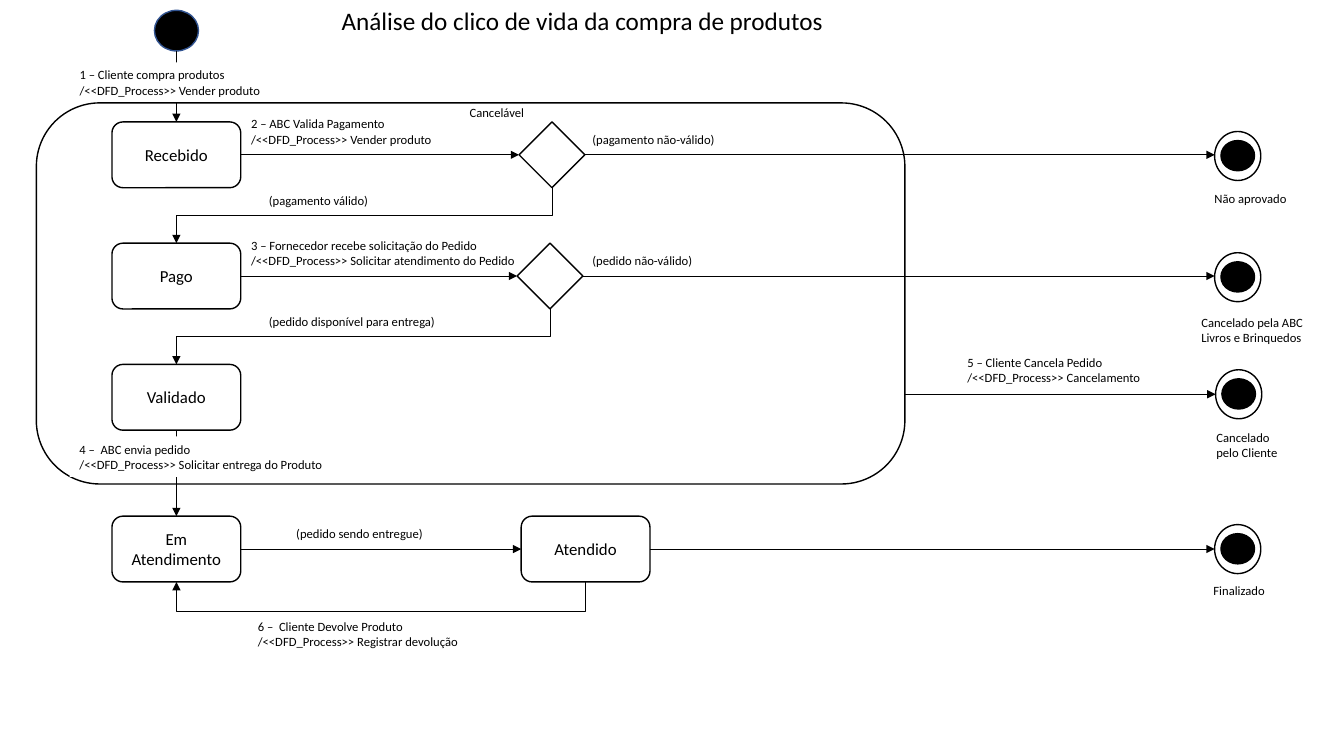
from lxml.etree import SubElement
from pptx import Presentation
from pptx.dml.color import RGBColor
from pptx.enum.shapes import MSO_CONNECTOR, MSO_SHAPE
from pptx.enum.text import MSO_ANCHOR, PP_ALIGN
from pptx.oxml.ns import qn
from pptx.util import Pt

BLACK = RGBColor(0x00, 0x00, 0x00)
WHITE = RGBColor(0xFF, 0xFF, 0xFF)
NAVY = RGBColor(0x32, 0x54, 0x91)
TOP, LEFT, BOTTOM, RIGHT = range(4)
STATE_WIDTH, STATE_HEIGHT = 92, 47
END_WIDTH, END_HEIGHT = 33, 35
END_LEFT = 867.6


def write(frame, text, size=9, align=PP_ALIGN.LEFT, anchor=MSO_ANCHOR.TOP):
    """Fill a text frame, one paragraph for each line of text."""
    frame.word_wrap = True
    frame.vertical_anchor = anchor
    frame.text = text
    for paragraph in frame.paragraphs:
        paragraph.alignment = align
        for run in paragraph.runs:
            run.font.name = "Calibri"
            run.font.size = Pt(size)
            run.font.color.rgb = BLACK


def node(slide, kind, box, fill=WHITE, line=BLACK):
    """Draw a flat preset shape; None leaves out its fill or line."""
    shape = slide.shapes.add_shape(kind, *map(Pt, box))
    shape.shadow.inherit = False
    if fill is None:
        shape.fill.background()
    else:
        shape.fill.solid()
        shape.fill.fore_color.rgb = fill
    if line is None:
        shape.line.fill.background()
    else:
        shape.line.color.rgb = line
        shape.line.width = Pt(1)
    return shape


def label(slide, box, text, covers=False, **style):
    """Place a label, on a white ground if it covers a line."""
    if covers:
        holder = node(slide, MSO_SHAPE.RECTANGLE, box, line=None)
    else:
        holder = slide.shapes.add_textbox(*map(Pt, box))
    write(holder.text_frame, text, **style)


def state(slide, left, top, name):
    """Draw a rounded state with its name centred."""
    shape = node(slide, MSO_SHAPE.ROUNDED_RECTANGLE, (left, top, STATE_WIDTH, STATE_HEIGHT))
    write(shape.text_frame, name, size=12, align=PP_ALIGN.CENTER, anchor=MSO_ANCHOR.MIDDLE)
    return shape


def arrow(slide, start, end, begin=None, finish=None, kind=MSO_CONNECTOR.STRAIGHT):
    """Draw a thin arrow, joined to the (shape, site) pairs given."""
    connector = slide.shapes.add_connector(kind, *map(Pt, (*start, *end)))
    if begin:
        connector.begin_connect(*begin)
    if finish:
        connector.end_connect(*finish)
    connector.line.color.rgb = BLACK
    connector.line.width = Pt(0.5)
    properties = connector._element.spPr
    SubElement(properties.find(qn("a:ln")), qn("a:tailEnd"), type="triangle")
    SubElement(properties, qn("a:effectLst"))
    return connector


def bent_arrow(slide, start, end, drop):
    """Draw an arrow that goes down by drop, then left, then to its end."""
    (x1, y1), (x2, y2) = start, end
    across, down = x1 - x2, max(y2 - y1, 0.1)
    left, top = (x1 + x2 - down) / 2, (y1 + y2 - across) / 2
    connector = arrow(slide, (left, top), (left + down, top + across), kind=MSO_CONNECTOR.ELBOW)
    properties = connector._element.spPr
    properties.find(qn("a:xfrm")).set("rot", "5400000")
    guides = properties.find(qn("a:prstGeom")).find(qn("a:avLst"))
    SubElement(guides, qn("a:gd"), name="adj1", fmla=f"val {round(drop / down * 100000)}")


def end_state(slide, left, top, caption, caption_box):
    """Draw a final state and its caption, placed relative to the state."""
    node(slide, MSO_SHAPE.OVAL, (left, top, END_WIDTH, END_HEIGHT))
    node(slide, MSO_SHAPE.OVAL, (left + 4.5, top + 6.5, 24, 21.6), fill=BLACK)
    dx, dy, width, height = caption_box
    label(slide, (left + dx, top + dy, width, height), caption)


def entry(slide, left, top, first_state):
    """Draw the initial state and the arrow into the first state."""
    node(slide, MSO_SHAPE.OVAL, (left, top, 31.5, 29), fill=BLACK, line=NAVY)
    arrow(slide, (left + 15.75, top + 29), (left + 15.75, top + 80), finish=(first_state, TOP))
    label(slide, (left - 60.5, top + 37.2, 204, 28.8),
          "1 – Cliente compra produtos\n/<<DFD_Process>> Vender produto", covers=True)


def decision_row(slide, origin, diamond_left, step, refused, accepted, next_top, ending, ending_box):
    """Draw the check that leads from a state to the next one or to an end."""
    left, top = origin.left.pt, origin.top.pt
    middle = top + STATE_HEIGHT / 2
    diamond = node(slide, MSO_SHAPE.DIAMOND, (diamond_left, top, STATE_HEIGHT, STATE_HEIGHT))
    arrow(slide, (left + STATE_WIDTH, middle), (diamond_left, middle),
          begin=(origin, RIGHT), finish=(diamond, LEFT))
    arrow(slide, (diamond_left + STATE_HEIGHT, middle), (END_LEFT, middle), begin=(diamond, RIGHT))
    bent_arrow(slide, (diamond_left + STATE_HEIGHT / 2, top + STATE_HEIGHT),
               (left + STATE_WIDTH / 2, next_top), (next_top - top - STATE_HEIGHT) / 2)
    label(slide, (left + 92.3, top - 7.6, 208, 28.8), step)
    label(slide, (416, top + 3.2, 176, 18), refused)
    label(slide, (left + 105, top + 47.2, 176, 18), accepted)
    end_state(slide, END_LEFT, middle - END_HEIGHT / 2 + 0.8, ending, ending_box)


def cancellable(slide, left, top, width, height):
    """Draw the composite state and its way out on cancellation."""
    node(slide, MSO_SHAPE.ROUNDED_RECTANGLE, (left, top, width, height), fill=None)
    label(slide, (left + 302.3, top - 2.1, 54, 18), "Cancelável")
    exit_y = top + 208.1
    arrow(slide, (left + width, exit_y), (END_LEFT + 0.7, exit_y))
    label(slide, (left + width + 37.5, top + 176.4, 208, 40),
          "5 – Cliente Cancela Pedido\n/<<DFD_Process>> Cancelamento")
    end_state(slide, END_LEFT + 0.7, exit_y - END_HEIGHT / 2, "Cancelado pelo Cliente",
              (-6.5, 39.6, 69, 28.8))


def delivery(slide, left, top, validated):
    """Draw delivery, its return loop and the end of the cycle."""
    middle, bottom = top + STATE_HEIGHT / 2, top + STATE_HEIGHT
    delivered_left = left + 292.3
    serving = state(slide, left, top, "Em\vAtendimento")
    delivered = state(slide, delivered_left, top, "Atendido")
    arrow(slide, (left + STATE_WIDTH / 2, top - 62), (left + STATE_WIDTH / 2, top),
          begin=(validated, BOTTOM), finish=(serving, TOP))
    label(slide, (left - 30.3, top - 56.9, 208, 28.8),
          "4 –  ABC envia pedido\n/<<DFD_Process>> Solicitar entrega do Produto", covers=True)
    arrow(slide, (left + STATE_WIDTH, middle), (delivered_left, middle),
          begin=(serving, RIGHT), finish=(delivered, LEFT))
    label(slide, (left + 124.5, top + 3.6, 106.6, 18), "(pedido sendo entregue)")
    bent_arrow(slide, (delivered_left + STATE_WIDTH / 2, bottom),
               (left + STATE_WIDTH / 2, bottom), 18.5)
    label(slide, (left + 97.1, top + 69.8, 208, 28.8),
          "6 –  Cliente Devolve Produto\n/<<DFD_Process>> Registrar devolução")
    arrow(slide, (delivered_left + STATE_WIDTH, middle), (END_LEFT, middle),
          begin=(delivered, RIGHT))
    end_state(slide, END_LEFT, middle - END_HEIGHT / 2, "Finalizado", (-7.9, 38, 54, 18))


def life_cycle(slide, left, top):
    """Draw the whole life cycle from the corner of its first state."""
    pitch = 86.6
    received, paid, validated = (
        state(slide, left, top + row * pitch, name)
        for row, name in enumerate(("Recebido", "Pago", "Validado")))
    entry(slide, left + 30.3, top - 79.7, received)
    cancellable(slide, left - 54, top - 13.6, 620.4, 272.2)
    decision_row(slide, received, 370.8,
                 "2 – ABC Valida Pagamento\n/<<DFD_Process>> Vender produto",
                 "(pagamento não-válido)", "(pagamento válido)", top + pitch,
                 "Não aprovado", (-7.2, 38.7, 73.4, 18))
    decision_row(slide, paid, 369.4,
                 "3 – Fornecedor recebe solicitação do Pedido\n"
                 "/<<DFD_Process>> Solicitar atendimento do Pedido",
                 "(pedido não-válido)", "(pedido disponível para entrega)", top + 2 * pitch,
                 "Cancelado pela ABC Livros e Brinquedos", (-16.6, 41, 92.2, 28.8))
    delivery(slide, left, top + 281.6, validated)


def main():
    """Build the slide and save it."""
    deck = Presentation()
    deck.slide_width, deck.slide_height = Pt(960), Pt(540)
    slide = deck.slides.add_slide(deck.slide_layouts[6])
    label(slide, (236.9, 0, 505.4, 28.8), "Análise do clico de vida da compra de produtos", size=18)
    life_cycle(slide, 80, 87.1)
    deck.save("out.pptx")


if __name__ == "__main__":
    main()
